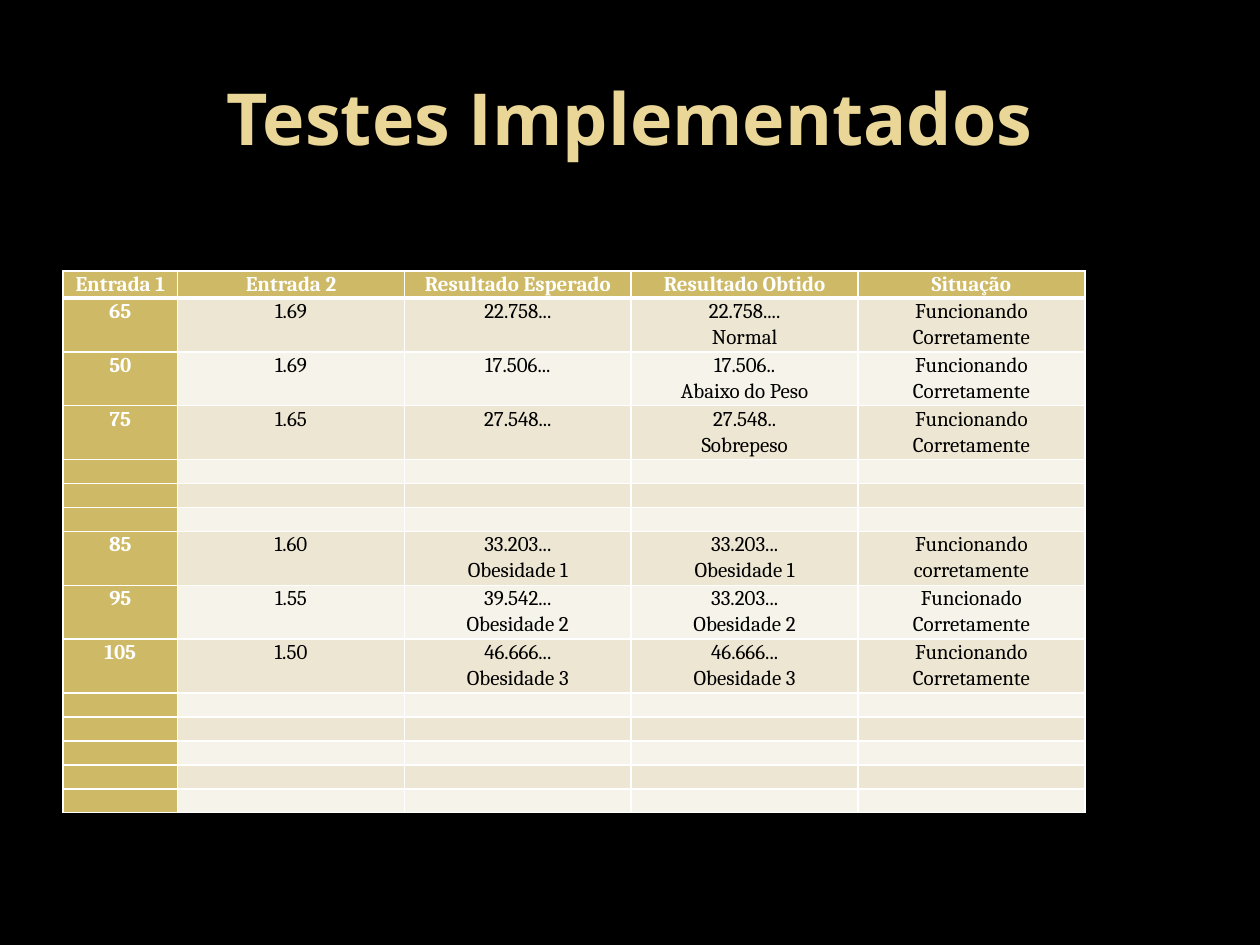
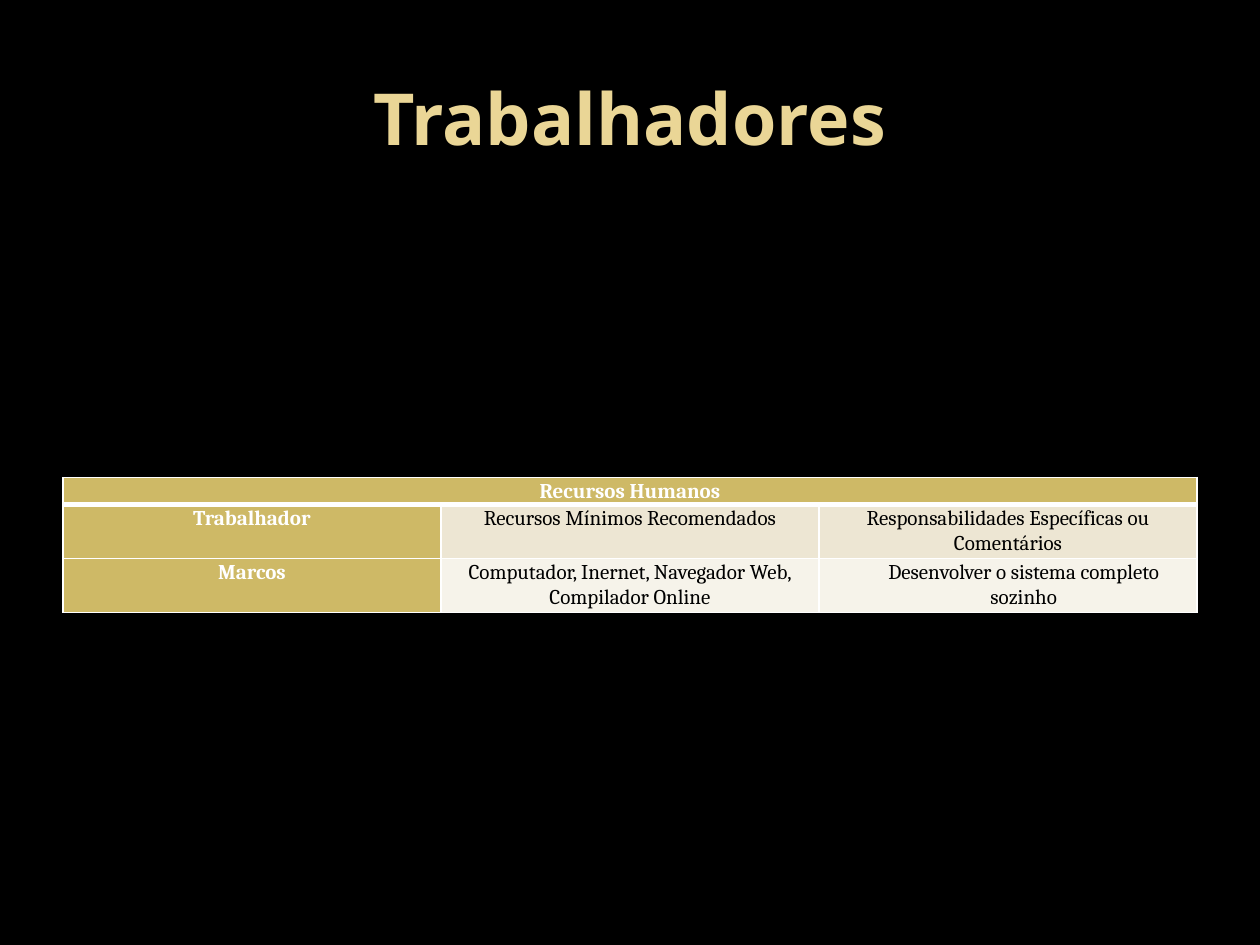
from dataclasses import dataclass

from lxml.etree import SubElement
from pptx import Presentation
from pptx.dml.color import RGBColor
from pptx.enum.text import MSO_ANCHOR, PP_ALIGN
from pptx.oxml import parse_xml
from pptx.oxml.ns import nsdecls, qn
from pptx.util import Inches, Pt


@dataclass(frozen=True)
class Theme:
    background: str = "000000"
    title: str = "EAD696"
    gold: str = "CEB966"
    bands: tuple = ("EDE6D3", "F6F3EA")
    light: str = "FFFFFF"
    dark: str = "000000"
    title_font: str = "Open Sans"
    table_font: str = "Cambria"
    title_size: int = 41
    table_size: int = 12
    empty_size: int = 10
    border: int = 1
    header_border: int = 3


THEME = Theme()


def write(frame, text, font=THEME.table_font, size=THEME.table_size, color=THEME.dark,
          bold=False, line_spacing=None, space_after=0, indent=0):
    """Write centred text, one paragraph per line of the string."""
    frame.word_wrap = True
    for number, line in enumerate(text.split("\n")):
        paragraph = frame.add_paragraph() if number else frame.paragraphs[0]
        paragraph.alignment = PP_ALIGN.CENTER
        paragraph.space_after = Pt(space_after)
        if line_spacing:
            paragraph.line_spacing = line_spacing
        if indent:
            paragraph._p.get_or_add_pPr().set("marL", str(Inches(indent)))
        if not line:
            SubElement(paragraph._p, qn("a:endParaRPr"), sz=str(THEME.empty_size * 100))
            continue
        run = paragraph.add_run()
        run.text = line
        run.font.name = font
        run.font.size = Pt(size)
        run.font.bold = bold
        run.font.color.rgb = RGBColor.from_string(color)


def draw_borders(cell, top, bottom):
    """Give a cell white borders; the widths of its top and bottom are in points."""
    sides = {"lnL": THEME.border, "lnR": THEME.border, "lnT": top, "lnB": bottom}
    for position, (side, width) in enumerate(sides.items()):
        cell._tc.get_or_add_tcPr().insert(position, parse_xml(
            f'<a:{side} {nsdecls("a")} w="{Pt(width)}"><a:solidFill>'
            f'<a:srgbClr val="{THEME.light}"/></a:solidFill></a:{side}>'))


# Content of both slides
working = "Funcionando Corretamente"
blank_row = ("",) * 5
tests = [
    ("Entrada 1", "Entrada 2", "Resultado Esperado", "Resultado Obtido", "Situação"),
    ("65", "1.69", "22.758...", "22.758....\nNormal", working),
    ("50", "1.69", "17.506...", "17.506..\nAbaixo do Peso", working),
    ("75", "1.65", "27.548...", "27.548..\nSobrepeso", working),
    *[blank_row] * 3,
    ("85", "1.60", "33.203...\nObesidade 1", "33.203...\nObesidade 1",
     "Funcionando corretamente"),
    ("95", "1.55", "39.542...\nObesidade 2", "33.203...\nObesidade 2",
     "Funcionado\nCorretamente"),
    ("105", "1.50", "46.666...\nObesidade 3", "46.666...\nObesidade 3",
     "Funcionando\nCorretamente"),
    *[blank_row] * 5,
]
workers = [
    ("Recursos Humanos", "", ""),
    ("Trabalhador", "Recursos Mínimos Recomendados",
     "Responsabilidades Específicas ou Comentários"),
    ("Marcos", "Computador, Inernet, Navegador Web, Compilador Online",
     "Desenvolver o sistema completo sozinho"),
]
pages = [
    dict(title="Testes Implementados", rows=tests, top=2.15,
         widths=[0.91] + [1.8] * 4, space_after=0, indents={}, merged_header=False),
    dict(title="Trabalhadores", rows=workers, top=3.79,
         widths=[3] * 3, space_after=6, indents={(2, 2): 0.25}, merged_header=True),
]
header_height, filled_height, empty_height = 0.21, 0.41, 0.19

presentation = Presentation()
presentation.slide_width = Inches(10)
presentation.slide_height = Inches(7.5)

for page in pages:
    slide = presentation.slides.add_slide(presentation.slide_layouts[6])
    slide.background.fill.solid()
    slide.background.fill.fore_color.rgb = RGBColor.from_string(THEME.background)

    # Title
    title = slide.shapes.add_textbox(Inches(0.5), Inches(0.3), Inches(9), Inches(1.25))
    title.text_frame.vertical_anchor = MSO_ANCHOR.MIDDLE
    write(title.text_frame, page["title"], font=THEME.title_font,
          size=THEME.title_size, color=THEME.title, bold=True)

    # Table grid
    rows, widths = page["rows"], page["widths"]
    heights = [header_height] + [filled_height if any(row) else empty_height
                                 for row in rows[1:]]
    table = slide.shapes.add_table(
        len(rows), len(widths), Inches(0.5), Inches(page["top"]),
        Inches(sum(widths)), Inches(sum(heights))).table
    table.first_col = True
    for column, width in zip(table.columns, widths):
        column.width = Inches(width)
    for table_row, height in zip(table.rows, heights):
        table_row.height = Inches(height)
    if page["merged_header"]:
        table.cell(0, 0).merge(table.cell(0, len(widths) - 1))

    # Table cells: gold header row and first column, banded body
    for r, row in enumerate(rows):
        for c, text in enumerate(row):
            cell = table.cell(r, c)
            heading = r == 0 or c == 0
            cell.margin_left = cell.margin_right = Inches(0.07)
            cell.margin_top = cell.margin_bottom = 0
            cell.fill.solid()
            cell.fill.fore_color.rgb = RGBColor.from_string(
                THEME.gold if heading else THEME.bands[(r - 1) % 2])
            draw_borders(cell, top=THEME.header_border if r == 1 else THEME.border,
                         bottom=THEME.header_border if r == 0 else THEME.border)
            write(cell.text_frame, text, bold=heading, line_spacing=1.07,
                  color=THEME.light if heading else THEME.dark,
                  space_after=page["space_after"],
                  indent=page["indents"].get((r, c), 0))

presentation.save("out.pptx")
